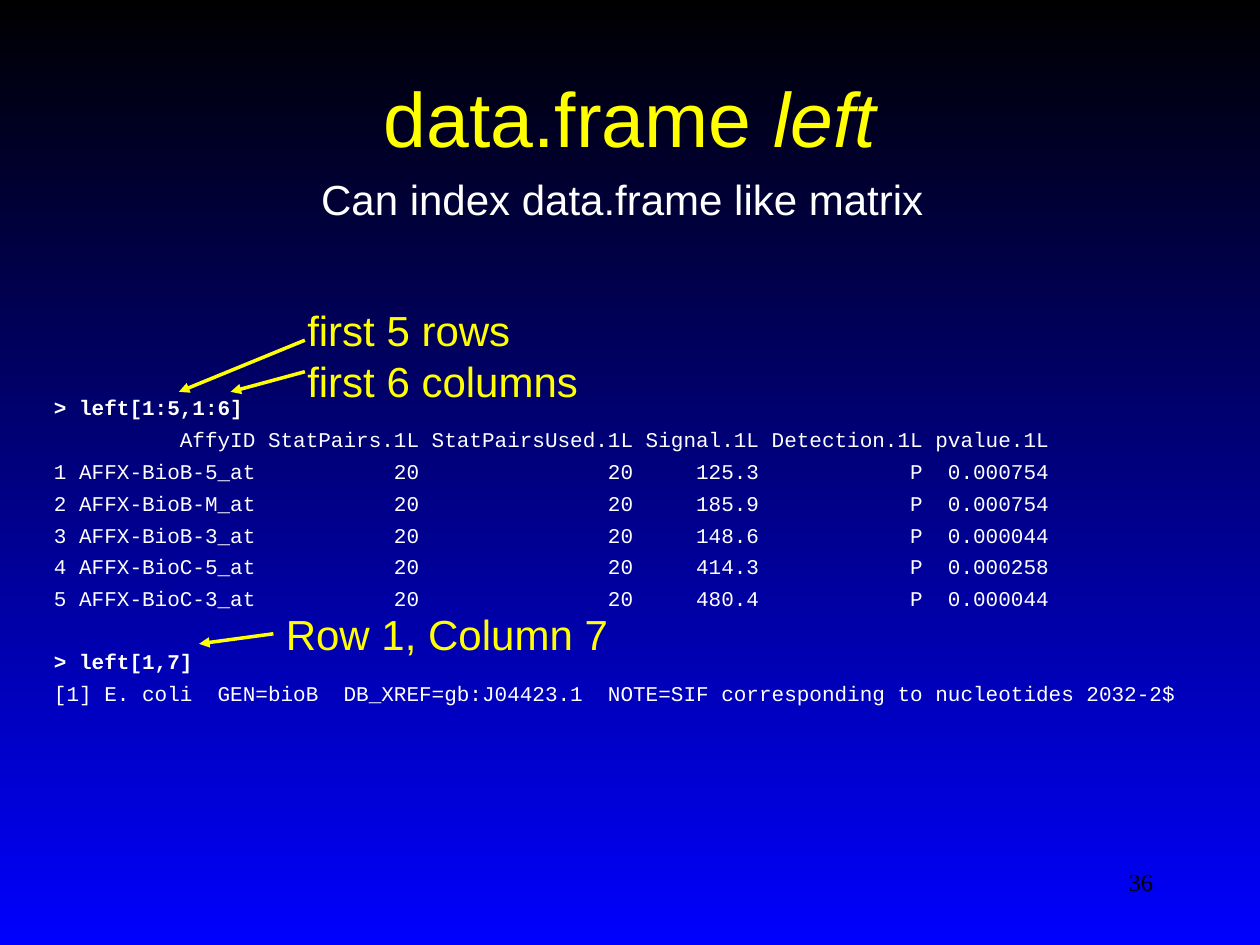
from lxml.etree import SubElement
from pptx import Presentation
from pptx.dml.color import RGBColor
from pptx.enum.shapes import MSO_CONNECTOR
from pptx.enum.text import MSO_ANCHOR as Anchor, PP_ALIGN as Align
from pptx.oxml.ns import qn
from pptx.util import Inches, Pt

BLACK = RGBColor(0x00, 0x00, 0x00)
BLUE = RGBColor(0x00, 0x00, 0xFF)
YELLOW = RGBColor(0xFF, 0xFF, 0x00)
WHITE = RGBColor(0xFF, 0xFF, 0xFF)

TITLE = {"name": "Arial", "size": Pt(44), "color": YELLOW}
NOTE = {"name": "Arial", "size": Pt(24), "color": YELLOW}
SUBTITLE = {**NOTE, "color": WHITE}
CODE = {"name": "Courier New", "size": Pt(12), "color": WHITE, "bold": False}
COMMAND = {**CODE, "bold": True}
NUMBER = {"name": "Times New Roman", "size": Pt(14), "color": BLACK}

LINE_GAP = 3.86
SECTION_GAP = 21.3

FRAME_ROWS = [
    ("", "AffyID", "StatPairs.1L", "StatPairsUsed.1L", "Signal.1L", "Detection.1L", "pvalue.1L"),
    ("1", "AFFX-BioB-5_at", "20", "20", "125.3", "P", "0.000754"),
    ("2", "AFFX-BioB-M_at", "20", "20", "185.9", "P", "0.000754"),
    ("3", "AFFX-BioB-3_at", "20", "20", "148.6", "P", "0.000044"),
    ("4", "AFFX-BioC-5_at", "20", "20", "414.3", "P", "0.000258"),
    ("5", "AFFX-BioC-3_at", "20", "20", "480.4", "P", "0.000044"),
]
ROW_FORMAT = "{:<2}{:>14}{:>13}{:>17}{:>10}{:>13}{:>10}"
NUCLEOTIDE_NOTE = (
    "[1] E. coli  GEN=bioB  DB_XREF=gb:J04423.1  "
    "NOTE=SIF corresponding to nucleotides 2032-2$"
)
ARROWS = [
    ((2.42, 2.70), (1.42, 3.11)),
    ((2.42, 2.95), (1.83, 3.11)),
    ((2.17, 5.03), (1.58, 5.11)),
]


class SlideBuilder:
    """Hold the slide and its style, and add each kind of element."""

    def __init__(self, presentation):
        self.slide = presentation.slides.add_slide(presentation.slide_layouts[6])

    def background(self, top, bottom):
        fill = self.slide.background.fill
        fill.gradient()
        fill.gradient_angle = 270
        for stop, color, position in zip(fill.gradient_stops, (top, bottom), (0, 1)):
            stop.color.rgb = color
            stop.position = position

    def run(self, paragraph, text, style):
        run = paragraph.add_run()
        run.text = text
        for attribute, value in style.items():
            if attribute == "color":
                run.font.color.rgb = value
            else:
                setattr(run.font, attribute, value)

    def text(self, box, lines, align=Align.LEFT, anchor=Anchor.TOP, wrap=True):
        frame = self.slide.shapes.add_textbox(*map(Inches, box)).text_frame
        frame.word_wrap = wrap
        frame.vertical_anchor = anchor
        for index, runs in enumerate(lines):
            paragraph = frame.add_paragraph() if index else frame.paragraphs[0]
            paragraph.alignment = align
            for text, style in runs:
                self.run(paragraph, text, style)
        return frame

    def code(self, box, lines):
        frame = self.text(box, [[(text, style)] for text, style, _ in lines])
        for paragraph, (_, _, gap) in zip(frame.paragraphs, lines):
            paragraph.space_before = Pt(gap)

    def arrow(self, start, end):
        connector = self.slide.shapes.add_connector(
            MSO_CONNECTOR.STRAIGHT, *map(Inches, start + end)
        )
        connector.line.color.rgb = YELLOW
        connector.line.width = Pt(2)
        SubElement(connector.line._get_or_add_ln(), qn("a:tailEnd"), type="triangle")
        SubElement(connector._element.spPr, qn("a:effectLst"))


def main():
    presentation = Presentation()
    presentation.slide_width = Inches(10)
    presentation.slide_height = Inches(7.5)

    builder = SlideBuilder(presentation)
    builder.background(BLACK, BLUE)
    builder.text(
        (0.75, 0.3, 8.5, 1.25),
        [[("data.frame ", TITLE), ("left", {**TITLE, "italic": True})]],
        align=Align.CENTER,
        anchor=Anchor.MIDDLE,
    )
    builder.code(
        (0.33, 3.08, 9.42, 3.08),
        [
            ("> left[1:5,1:6]", COMMAND, 0),
            *((ROW_FORMAT.format(*row), CODE, LINE_GAP) for row in FRAME_ROWS),
            ("> left[1,7]", COMMAND, SECTION_GAP),
            (NUCLEOTIDE_NOTE, CODE, LINE_GAP),
        ],
    )
    builder.text(
        (2.34, 2.37, 2.35, 0.9),
        [[("first 5 rows", NOTE)], [("first 6 columns", NOTE)]],
        wrap=False,
    )
    builder.text((2.17, 4.78, 3, 0.5), [[("Row 1, Column 7", NOTE)]])
    for start, end in ARROWS:
        builder.arrow(start, end)
    builder.text(
        (2.45, 1.33, 4.98, 0.5),
        [[("Can index data.frame like matrix", SUBTITLE)]],
        wrap=False,
    )
    builder.text((7.17, 6.83, 2.08, 0.5), [[("36", NUMBER)]], align=Align.RIGHT)
    presentation.save("out.pptx")


if __name__ == "__main__":
    main()
